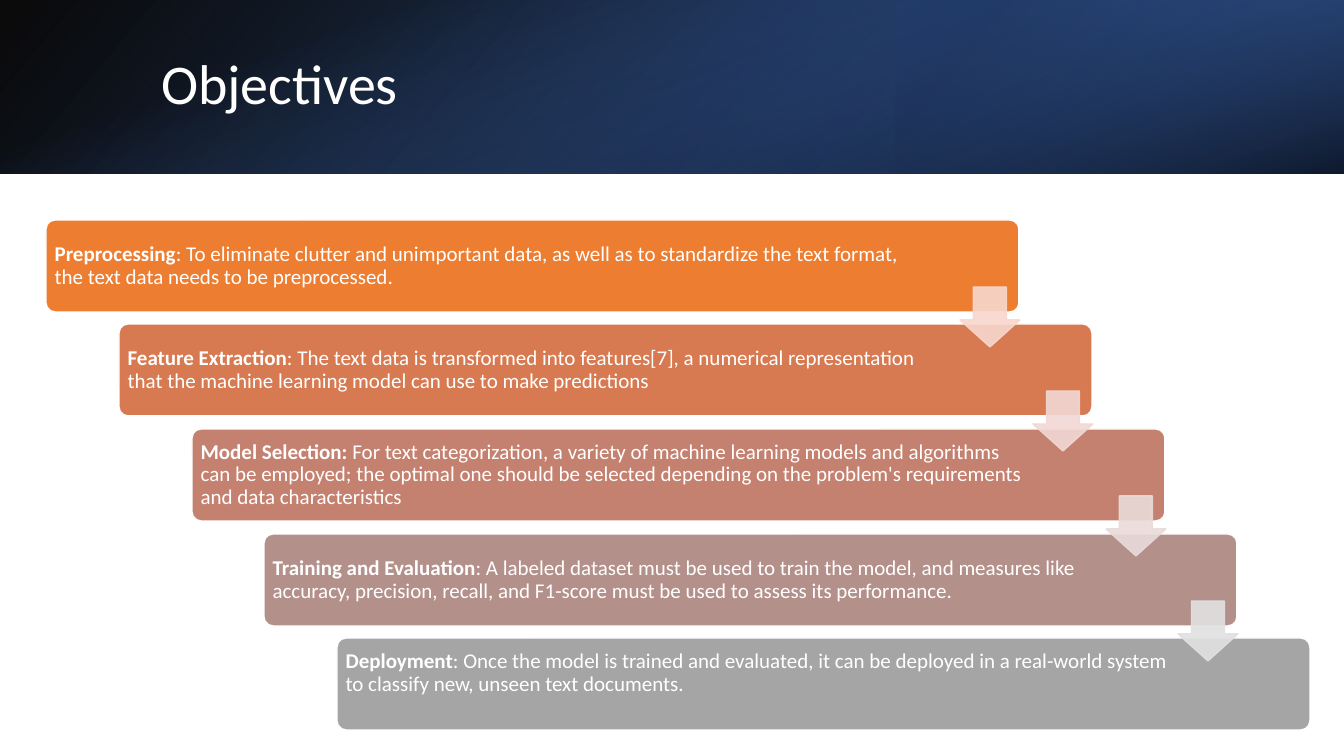
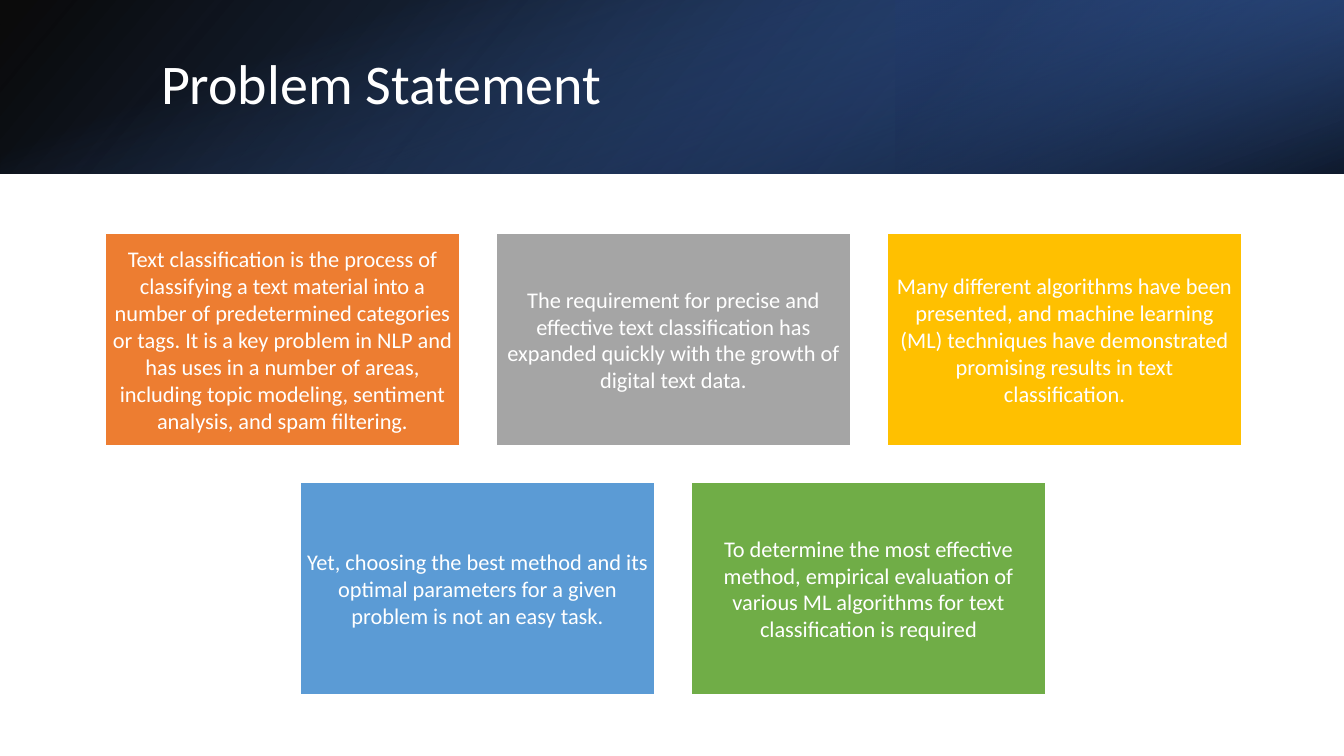
from dataclasses import dataclass
from typing import NamedTuple

from lxml import etree
from pptx import Presentation
from pptx.dml.color import RGBColor
from pptx.enum.shapes import MSO_SHAPE
from pptx.enum.text import MSO_ANCHOR, PP_ALIGN
from pptx.oxml import parse_xml
from pptx.oxml.ns import nsdecls, qn
from pptx.util import Emu, Pt

RECT = MSO_SHAPE.RECTANGLE
ROUND = MSO_SHAPE.ROUNDED_RECTANGLE
ARROW = MSO_SHAPE.DOWN_ARROW
MIDDLE = MSO_ANCHOR.MIDDLE
LEFT = PP_ALIGN.LEFT
CENTER = PP_ALIGN.CENTER

WIDE, HIGH = 1344, 756
SCALE = 12192000 / WIDE


@dataclass(frozen=True)
class Theme:
    font: str = "Calibri"
    white: str = "FFFFFF"
    black: str = "000000"
    navy: str = "203864"
    deep: str = "2F5597"
    blue: str = "4472C4"
    orange: str = "ED7D31"
    gray: str = "A5A5A5"
    gold: str = "FFC000"
    sky: str = "5B9BD5"
    green: str = "70AD47"
    title: int = 40
    step: int = 15
    card: int = 16
    tight: float = 0.9


THEME = Theme()


class Box(NamedTuple):
    left: int
    top: int
    width: int
    height: int


class Inset(NamedTuple):
    left: int
    top: int
    right: int
    bottom: int


class Stop(NamedTuple):
    pos: int
    color: str
    alpha: int


class Layer(NamedTuple):
    box: Box
    turn: int
    flip: bool
    angle: int
    stops: tuple


class Step(NamedTuple):
    lead: str
    body: str
    fill: str
    arrow: str = ""
    right: int = 137
    bottom: int = 6


class Card(NamedTuple):
    text: str
    fill: str


BAND = 174
SIDE = (WIDE - BAND) // 2
LAYERS = (
    Layer(Box(0, 0, WIDE, BAND), 0, True, 140,
          (Stop(0, THEME.black, 96), Stop(100, THEME.deep, 100))),
    Layer(Box(896, 0, 448, BAND), 180, True, 320,
          (Stop(19, THEME.navy, 68), Stop(100, THEME.blue, 79))),
    Layer(Box(SIDE, -SIDE, BAND, WIDE), 90, False, 340,
          (Stop(23, THEME.blue, 0), Stop(99, THEME.black, 74))),
)

STEPS = (
    Step("Preprocessing",
         ": To eliminate clutter and unimportant data, as well as to standardize "
         "the text format, the text data needs to be preprocessed.",
         THEME.orange, "F8D7CE", right=109),
    Step("Feature Extraction",
         ": The text data is transformed into features[7], a numerical "
         "representation that the machine learning model can use to make predictions",
         "D87A51", "F1D8D4"),
    Step("Model Selection: ",
         "For text categorization, a variety of machine learning models and "
         "algorithms can be employed; the optimal one should be selected depending "
         "on the problem's requirements and data characteristics",
         "C48170", "E9DBDA"),
    Step("Training and Evaluation",
         ": A labeled dataset must be used to train the model, and measures like "
         "accuracy, precision, recall, and F1-score must be used to assess its "
         "performance.",
         "B4908B", "E1E1E1"),
    Step("Deployment",
         ": Once the model is trained and evaluated, it can be deployed in a "
         "real-world system to classify new, unseen text documents.",
         THEME.gray, bottom=28),
)

ROWS = (
    (
        Card("Text classification is the process of classifying a text material "
             "into a number of predetermined categories or tags. It is a key "
             "problem in NLP and has uses in a number of areas, including topic "
             "modeling, sentiment analysis, and spam filtering.", THEME.orange),
        Card("The requirement for precise and effective text classification has "
             "expanded quickly with the growth of digital text data.", THEME.gray),
        Card("Many different algorithms have been presented, and machine learning "
             "(ML) techniques have demonstrated promising results in text "
             "classification.", THEME.gold),
    ),
    (
        Card("Yet, choosing the best method and its optimal parameters for a given "
             "problem is not an easy task.", THEME.sky),
        Card("To determine the most effective method, empirical evaluation of "
             "various ML algorithms for text classification is required",
             THEME.green),
    ),
)


def px(n: int) -> Emu:
    return Emu(round(n * SCALE))


def place(box: Box) -> list:
    return [px(n) for n in box]


def shape(slide, kind, box: Box, fill: str = "", line: str = ""):
    """Add a preset shape, filled and outlined when colours are given."""
    item = slide.shapes.add_shape(kind, *place(box))
    item.shadow.inherit = False
    if fill:
        item.fill.solid()
        item.fill.fore_color.rgb = RGBColor.from_string(fill)
    if line:
        item.line.color.rgb = RGBColor.from_string(line)
        item.line.width = Pt(1)
    else:
        item.line.fill.background()
    return item


def write(item, parts: tuple, size: int, inset: Inset, align=LEFT,
          space: float = 1.0) -> None:
    """Fill one paragraph; the first of several parts is bold."""
    frame = item.text_frame
    frame.word_wrap = True
    frame.vertical_anchor = MIDDLE
    frame.margin_left, frame.margin_top = px(inset.left), px(inset.top)
    frame.margin_right, frame.margin_bottom = px(inset.right), px(inset.bottom)
    para = frame.paragraphs[0]
    para.text = parts[0]
    for part in parts[1:]:
        para.add_run().text = part
    para.alignment = align
    para.line_spacing = space
    for i, run in enumerate(para.runs):
        run.font.name = THEME.font
        run.font.size = Pt(size)
        run.font.bold = len(parts) > 1 and i == 0
        run.font.color.rgb = RGBColor.from_string(THEME.white)


def blend(item, layer: Layer) -> None:
    """Give a shape a linear gradient with transparent stops."""
    stops = "".join(
        f'<a:gs pos="{s.pos * 1000}"><a:srgbClr val="{s.color}">'
        f'<a:alpha val="{s.alpha * 1000}"/></a:srgbClr></a:gs>'
        for s in layer.stops)
    grad = parse_xml(
        f'<a:gradFill {nsdecls("a")} rotWithShape="1"><a:gsLst>{stops}</a:gsLst>'
        f'<a:lin ang="{layer.angle * 60000}" scaled="0"/></a:gradFill>')
    item.element.spPr.find(qn("a:prstGeom")).addnext(grad)


def fade(item, alpha: int) -> None:
    """Set the opacity of fill and line."""
    for color in item.element.spPr.iter(qn("a:srgbClr")):
        etree.SubElement(color, qn("a:alpha")).set("val", str(alpha * 1000))


def start(deck, title: str):
    """Add a slide with the shared band and title."""
    slide = deck.slides.add_slide(deck.slide_layouts[6])
    for layer in LAYERS:
        item = shape(slide, RECT, layer.box)
        item.rotation = layer.turn
        if layer.flip:
            item.element.spPr.find(qn("a:xfrm")).set("flipH", "1")
        blend(item, layer)
    head = slide.shapes.add_textbox(*place(Box(151, 38, 1107, 97)))
    write(head, (title,), THEME.title, Inset(10, 5, 10, 5), space=THEME.tight)
    return slide


def stairs(slide) -> None:
    """Draw the descending steps, then the arrows over them."""
    last = len(STEPS) - 1
    spots = [Box(46 + round(291 * i / last), 220 + round(418 * i / last), 973, 92)
             for i in range(len(STEPS))]
    for step, box in zip(STEPS, spots):
        item = shape(slide, ROUND, box, step.fill, THEME.white)
        item.adjustments[0] = 0.1
        write(item, (step.lead, step.body), THEME.step,
              Inset(6, 6, step.right, step.bottom), space=THEME.tight)
    for step, box in zip(STEPS[:-1], spots):
        item = shape(slide, ARROW, Box(box.left + 914, box.top + 67, 60, 60),
                     step.arrow, step.arrow)
        item.adjustments[0] = 0.55
        item.adjustments[1] = 0.45
        fade(item, 90)


def cards(slide) -> None:
    """Draw rows of cards, each row centred on one axis."""
    wide, high, gap, axis, top = 355, 213, 36, 673, 233
    for r, row in enumerate(ROWS):
        span = len(row) * (wide + gap) - gap
        for c, card in enumerate(row):
            box = Box(axis - span // 2 + c * (wide + gap),
                      top + r * (high + gap), wide, high)
            item = shape(slide, RECT, box, card.fill, THEME.white)
            write(item, (card.text,), THEME.card, Inset(7, 7, 7, 7), CENTER)


def main() -> None:
    deck = Presentation()
    deck.slide_width, deck.slide_height = px(WIDE), px(HIGH)
    stairs(start(deck, "Objectives"))
    cards(start(deck, "Problem Statement"))
    deck.save("out.pptx")


if __name__ == "__main__":
    main()
